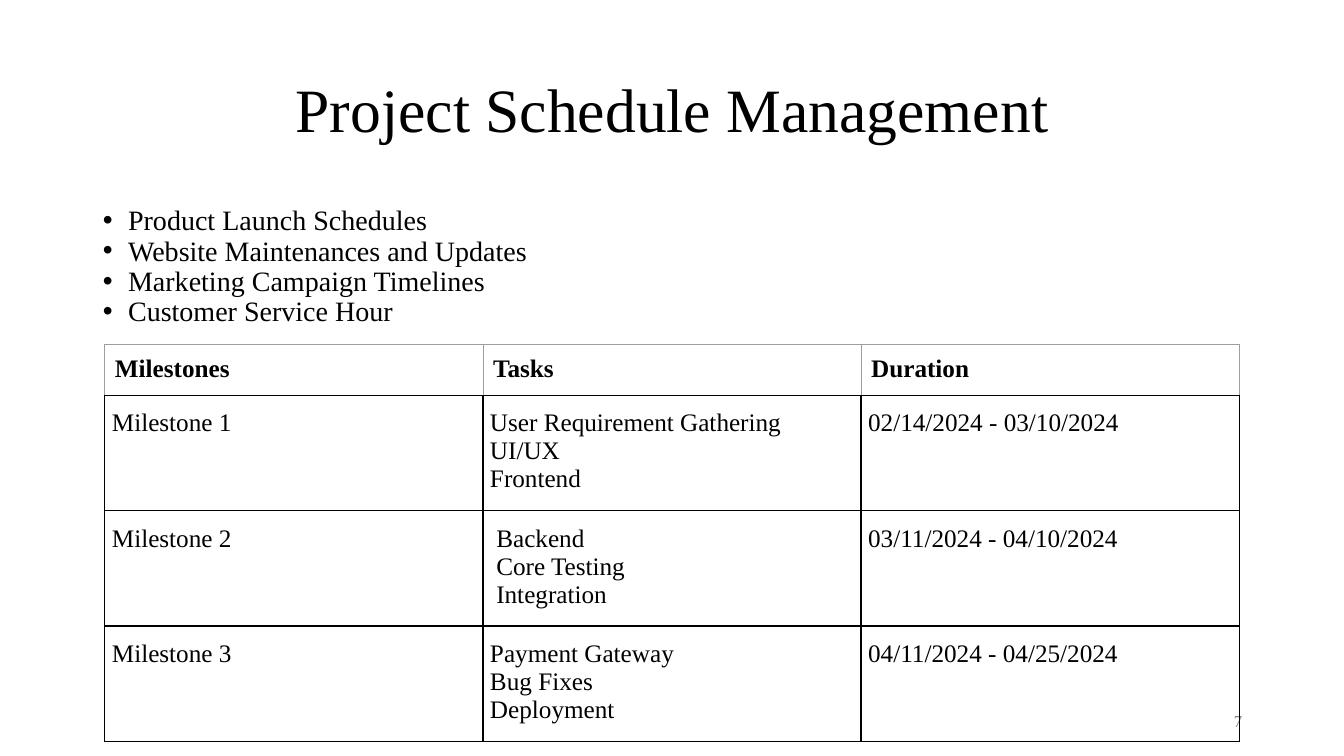
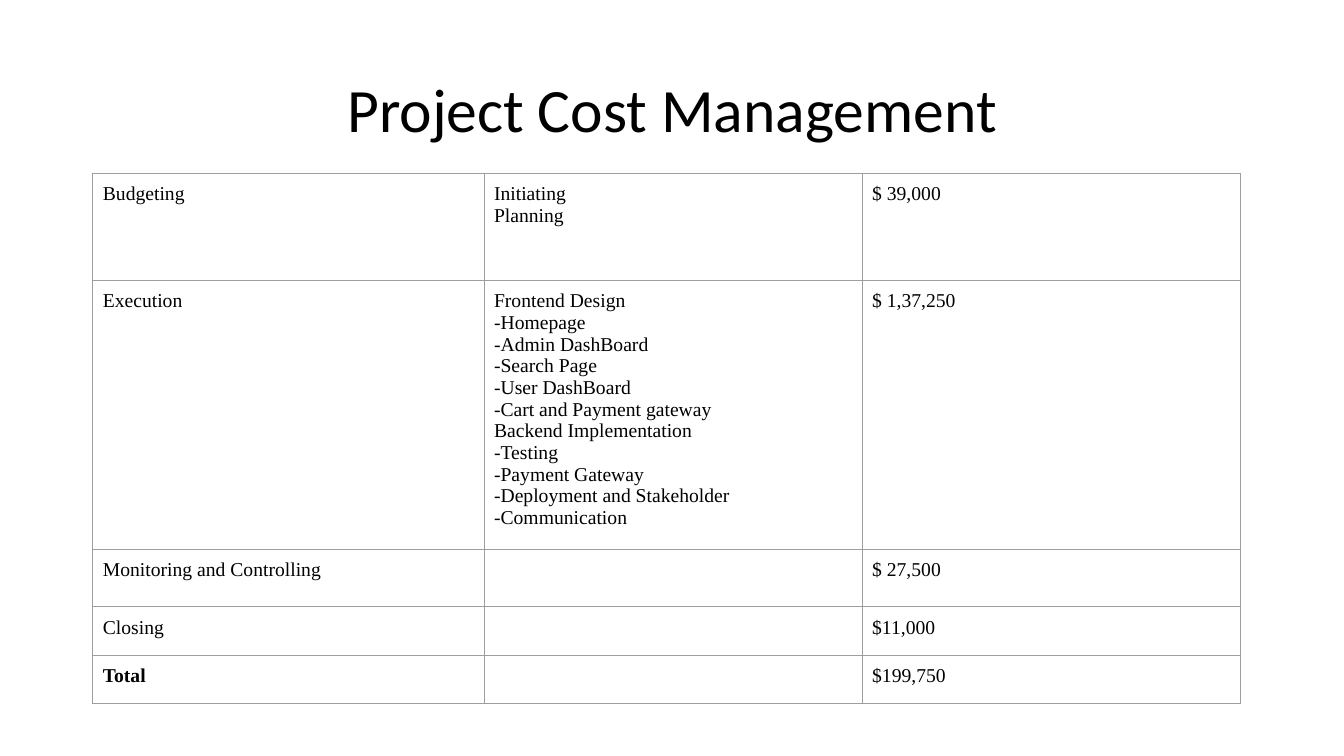
import pptx
import pptx.util
import pptx.dml.color
import pptx.enum.text
import pptx.oxml
import pptx.oxml.ns

Inches = pptx.util.Inches
Pt = pptx.util.Pt
Color = pptx.dml.color.RGBColor
Align = pptx.enum.text.PP_ALIGN
Anchor = pptx.enum.text.MSO_ANCHOR

BLACK = Color(0, 0, 0)
GRAY = Color(0x88, 0x88, 0x88)
RULE = Color(0x9E, 0x9E, 0x9E)
SERIF = "Times New Roman"
SANS = "Calibri"
THIN = (RULE, 0.75)
DARK = (BLACK, 1)

TOPICS = [
    "Product Launch Schedules",
    "Website Maintenances and Updates",
    "Marketing Campaign Timelines",
    "Customer Service Hour",
]
HEADS = ["Milestones", "Tasks", "Duration"]
STAGES = [
    ["Milestone 1", "User Requirement Gathering\nUI/UX\nFrontend",
     "02/14/2024 - 03/10/2024"],
    ["Milestone 2", " Backend\n Core Testing\n Integration",
     "03/11/2024 - 04/10/2024"],
    ["Milestone 3", "Payment Gateway\nBug Fixes\nDeployment",
     "04/11/2024 - 04/25/2024"],
]
BUILD = [
    "Frontend Design", "-Homepage", "-Admin DashBoard", "-Search Page",
    "-User DashBoard", "-Cart and Payment gateway",
    "Backend Implementation", "-Testing", "-Payment Gateway",
    "-Deployment and Stakeholder -Communication",
]
COSTS = [
    ["Budgeting", "Initiating\nPlanning", "$ 39,000"],
    ["Execution", "\n".join(BUILD), "$ 1,37,250"],
    ["Monitoring and Controlling", "", "$ 27,500"],
    ["Closing", "", "$11,000"],
    ["Total", "", "$199,750"],
]


def write(frame, text, size=18, font=SERIF, color=BLACK, bold=False,
          align=Align.LEFT, lead=None, first=None):
    frame.word_wrap = True
    for i, line in enumerate(text.split("\n")):
        para = frame.add_paragraph() if i else frame.paragraphs[0]
        para.alignment = align
        para.space_before = Pt(0)
        para.line_spacing = lead if i or first is None else first
        run = para.add_run()
        run.text = line
        run.font.size = Pt(size)
        run.font.name = font
        run.font.bold = bold
        run.font.color.rgb = color


def place(shape, left, top, width, height):
    shape.left, shape.top = Inches(left), Inches(top)
    shape.width, shape.height = Inches(width), Inches(height)


def start(deck, layout, title, font):
    slide = deck.slides.add_slide(deck.slide_layouts[layout])
    head = slide.shapes.title
    place(head, 0.92, 0.39, 11.5, 1.45)
    frame = head.text_frame
    frame.auto_size = pptx.enum.text.MSO_AUTO_SIZE.NONE
    frame.vertical_anchor = Anchor.MIDDLE
    write(frame, title, size=44, font=font, align=Align.CENTER, lead=0.9)
    return slide


def edge(cell, lines):
    props = cell._tc.get_or_add_tcPr()
    space = pptx.oxml.ns.nsdecls("a")
    for i, (side, (color, width)) in enumerate(zip("LRTB", lines)):
        props.insert(i, pptx.oxml.parse_xml(
            f'<a:ln{side} {space} w="{Pt(width)}"><a:solidFill>'
            f'<a:srgbClr val="{color}"/></a:solidFill></a:ln{side}>'))


def grid(slide, left, top, cols, rows):
    table = slide.shapes.add_table(
        len(rows), len(cols), Inches(left), Inches(top),
        Inches(sum(cols)), Inches(sum(rows))).table
    table.first_row = table.horz_banding = False
    for col, width in zip(table.columns, cols):
        col.width = Inches(width)
    for row, height in zip(table.rows, rows):
        row.height = Inches(height)
    return table


def fill(row, texts, lines, pad=0.1, **style):
    for cell, text in zip(row.cells, texts):
        cell.fill.background()
        edge(cell, lines)
        if text:
            cell.margin_left = cell.margin_right = Inches(pad)
            cell.margin_top = cell.margin_bottom = Inches(0.1)
            write(cell.text_frame, text, **style)


def plan(deck):
    slide = start(deck, 1, "Project Schedule Management", SERIF)
    body = slide.placeholders[1]
    place(body, 0.92, 2, 11.5, 4.76)
    frame = body.text_frame
    frame.auto_size = pptx.enum.text.MSO_AUTO_SIZE.NONE
    write(frame, "\n".join(TOPICS), size=20, lead=0.9)
    for para in frame.paragraphs:
        props = para._p.get_or_add_pPr()
        props.set("marL", str(Inches(0.25)))
        props.set("indent", str(Inches(-0.26)))

    page = slide.shapes.add_textbox(
        Inches(9.42), Inches(6.95), Inches(3), Inches(0.4)).text_frame
    page.vertical_anchor = Anchor.MIDDLE
    write(page, "7", size=12, color=GRAY, align=Align.RIGHT)

    table = grid(slide, 1.04, 3.42, [3.75] * 3, [0.48] + [1.07] * 3)
    fill(table.rows[0], HEADS, [THIN] * 3 + [DARK], bold=True)
    for i, stage in enumerate(STAGES, 1):
        top = THIN if i == 0 else DARK
        fill(table.rows[i], stage, [DARK, DARK, top, DARK],
             pad=0.07, first=1.15)


def cost(deck):
    slide = start(deck, 5, "Project Cost Management", SANS)
    table = grid(slide, 0.92, 1.72, [3.88, 3.75, 3.75],
                 [1.06, 2.67, 0.57, 0.48, 0.48])
    for row, texts in zip(table.rows, COSTS):
        fill(row, texts, [THIN] * 4, size=14)
    total = table.cell(len(COSTS) - 1, 0).text_frame
    total.paragraphs[0].runs[0].font.bold = True


def main():
    deck = pptx.Presentation()
    deck.slide_width, deck.slide_height = Inches(13.33), Inches(7.5)
    plan(deck)
    cost(deck)
    deck.save("out.pptx")


if __name__ == "__main__":
    main()
